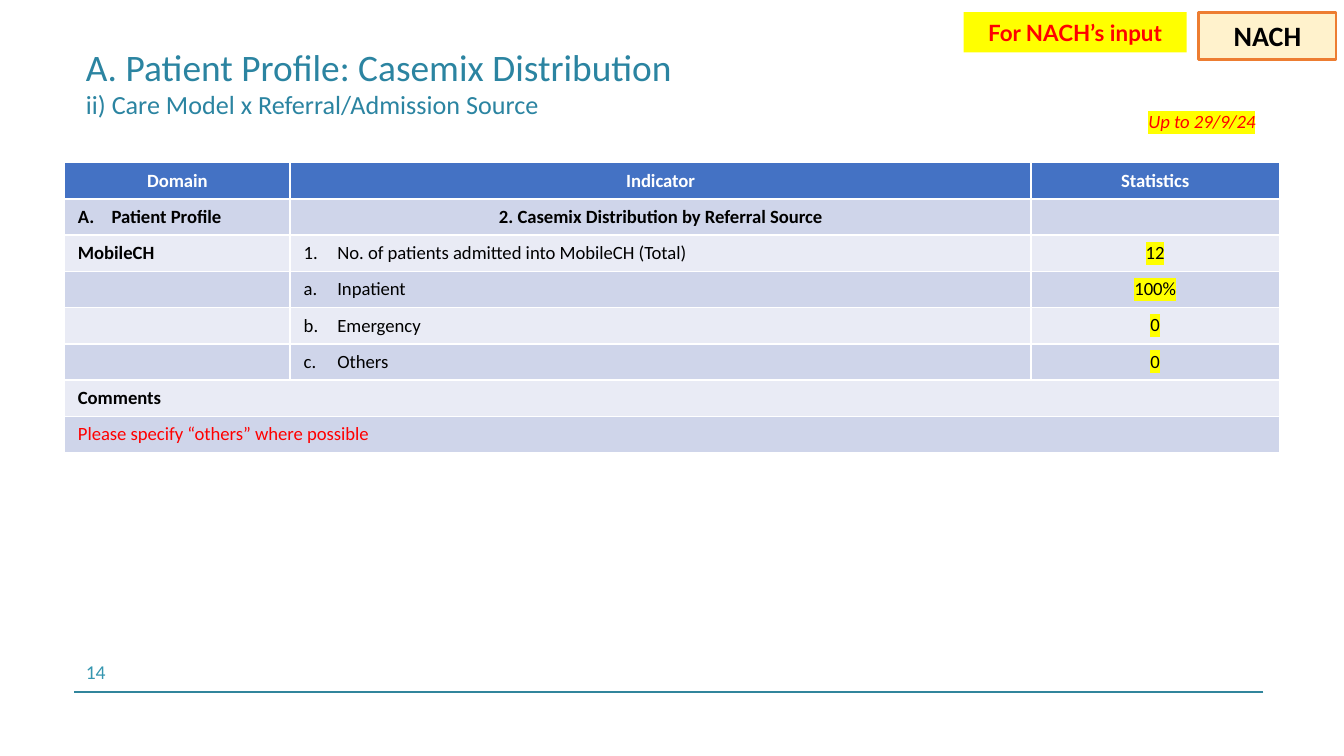
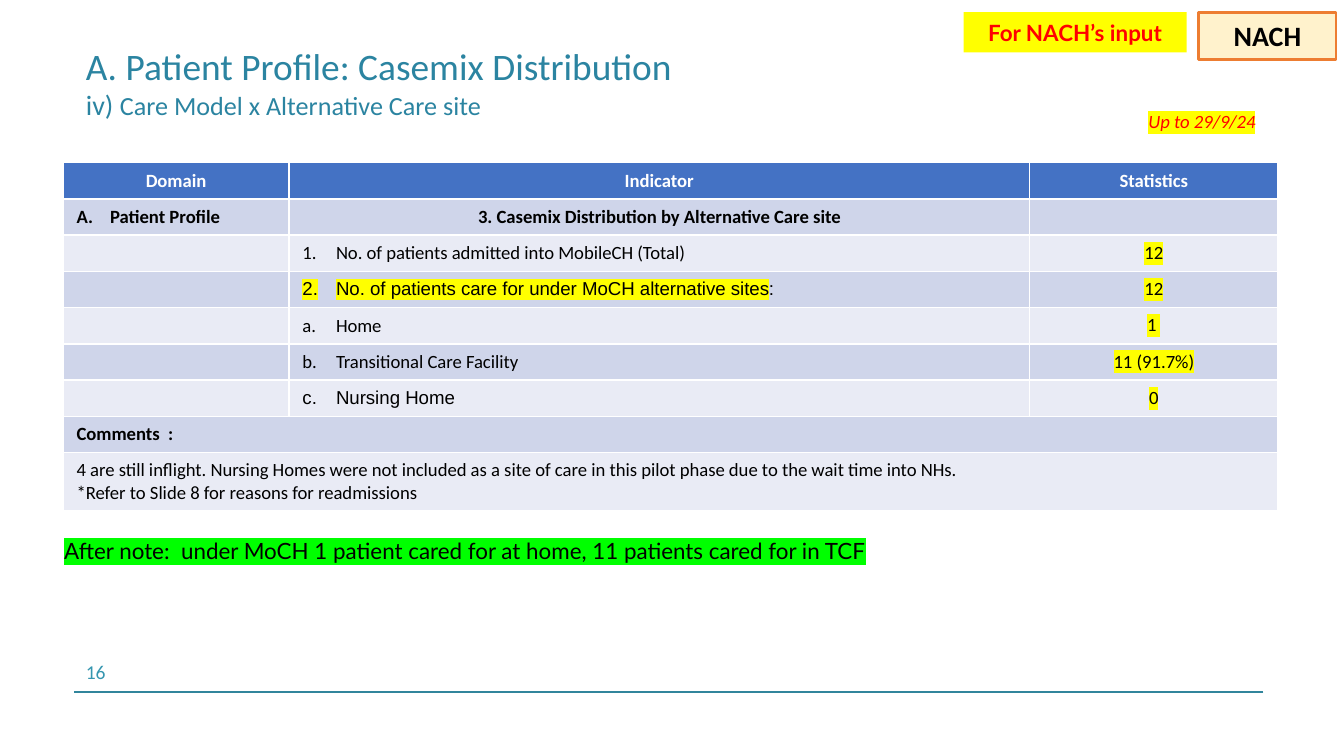
"""Builds two casemix tables for the patient profile section."""
from dataclasses import dataclass, replace

from lxml import etree
from pptx import Presentation
from pptx import util as u
from pptx.dml import color
from pptx.enum import shapes, text
from pptx.oxml import ns

LEFT, CENTER, RIGHT = text.PP_ALIGN.LEFT, text.PP_ALIGN.CENTER, text.PP_ALIGN.RIGHT
TOP, MIDDLE = text.MSO_ANCHOR.TOP, text.MSO_ANCHOR.MIDDLE
SITE = "NACH"


@dataclass(frozen=True)
class Look:
    size: float = 10
    colour: str = "000000"
    bold: bool = False
    italic: bool = False
    mark: str = ""
    font: str = "Calibri"


@dataclass(frozen=True)
class Entry:
    spans: tuple = ()
    align: int = LEFT
    marker: str = ""
    anchor: int = MIDDLE


class Theme:
    white, red, yellow, green = "FFFFFF", "FF0000", "FFFF00", "00FF00"
    header, bands = "4472C4", ("E9EBF5", "CFD5EA")
    rule, cream, orange = "31859C", "FFF2CC", "ED7D31"
    body = Look()
    strong = Look(bold=True)
    marked = Look(mark=yellow)
    arial = Look(font="Arial")
    request = Look(colour=red)
    heading = Look(colour=white, bold=True)
    title = Look(20, "2B84A1")
    subtitle = replace(title, size=14)
    number = Look(10.5, "3596B0")
    site = Look(15, bold=True)
    date = Look(10, red, italic=True, mark=yellow)
    prompt = Look(12, red, bold=True, font="Lato")
    note = Look(12, mark=green, font="Lato")


def entry(words="", look=Theme.body, align=LEFT, marker="", anchor=MIDDLE):
    return Entry(((words, look),) if words else (), align, marker, anchor)


def figure(words):
    return entry(words, Theme.marked, CENTER, anchor=TOP)


def item(marker, words, look=Theme.body):
    return entry(words, look, marker=marker)


class Deck:
    """Draws on the current page, measured on a grid of 100 columns by 56.25 rows."""

    columns, rows = 100, 56.25
    table_columns = (16.8, 55.1, 18.5)
    row_height = 2.7

    def __init__(self):
        self.deck = Presentation()
        self.deck.slide_width, self.deck.slide_height = u.Inches(10), u.Inches(5.625)
        self.page = None

    def x(self, count):
        return round(self.deck.slide_width * count / self.columns)

    def y(self, count):
        return round(self.deck.slide_height * count / self.rows)

    def place(self, left, top, width, height):
        return self.x(left), self.y(top), self.x(width), self.y(height)

    def paint(self, fill, colour):
        fill.solid()
        fill.fore_color.rgb = color.RGBColor.from_string(colour)

    def style(self, span, look):
        font = span.font
        font.size, font.name = u.Pt(look.size), look.font
        font.bold, font.italic = look.bold, look.italic
        self.paint(font.fill, look.colour)
        if look.mark:
            mark = etree.Element(ns.qn("a:highlight"))
            etree.SubElement(mark, ns.qn("a:srgbClr"), val=look.mark)
            span._r.get_or_add_rPr().find(ns.qn("a:solidFill")).addnext(mark)

    def number(self, para, marker):
        label = marker.rstrip(".")
        if label.isdigit():
            scheme, start = "arabicPeriod", int(label)
        else:
            scheme = "alphaUcPeriod" if label.isupper() else "alphaLcPeriod"
            start = ord(label.lower()) - ord("a") + 1
        props = para._p.get_or_add_pPr()
        props.set("marL", str(u.Inches(0.25)))
        props.set("indent", str(-u.Inches(0.25)))
        tint = etree.SubElement(props, ns.qn("a:buClr"))
        etree.SubElement(tint, ns.qn("a:srgbClr"), val=Theme.body.colour)
        etree.SubElement(props, ns.qn("a:buAutoNum"), type=scheme, startAt=str(start))

    def set_text(self, frame, *entries):
        for index, content in enumerate(entries):
            para = frame.add_paragraph() if index else frame.paragraphs[0]
            para.alignment = content.align
            if content.marker:
                self.number(para, content.marker)
            for order, (words, look) in enumerate(content.spans):
                if order:
                    span = para.add_run()
                    span.text = words
                else:
                    para.text = words
                    span = para.runs[0]
                self.style(span, look)
            if not content.spans:
                etree.SubElement(para._p, ns.qn("a:endParaRPr"), sz=str(Theme.body.size * 100))

    def label(self, area, content, inset=(0.1, 0.05)):
        box = self.page.shapes.add_textbox(*self.place(*area))
        frame = box.text_frame
        frame.word_wrap, frame.vertical_anchor = True, content.anchor
        frame.margin_left = frame.margin_right = u.Inches(inset[0])
        frame.margin_top = frame.margin_bottom = u.Inches(inset[1])
        self.set_text(frame, content)

    def tag(self, area, content, fill, line=None):
        box = self.page.shapes.add_shape(shapes.MSO_SHAPE.RECTANGLE, *self.place(*area))
        box.shadow.inherit = False
        self.paint(box.fill, fill)
        if line:
            self.paint(box.line.fill, line)
            box.line.width = u.Pt(1.5)
        else:
            box.line.fill.background()
        box.text_frame.word_wrap, box.text_frame.vertical_anchor = True, TOP
        self.set_text(box.text_frame, content)

    def rule(self, left, right, top):
        line = self.page.shapes.add_connector(
            shapes.MSO_CONNECTOR.STRAIGHT, self.x(right), self.y(top), self.x(left), self.y(top))
        self.paint(line.line.fill, Theme.rule)
        line.line.width = u.Pt(1)
        etree.SubElement(line._element.spPr, ns.qn("a:effectLst"))

    def table(self, left, section, items, comments):
        head = [entry(words, Theme.heading, CENTER) for words in ("Domain", "Indicator", "Statistics")]
        topic = [entry("Patient Profile", Theme.strong, marker="A."),
                 entry(section, Theme.strong, CENTER), entry()]
        lines = [head, topic, *items]
        total = len(lines) + len(comments)
        area = self.place(left, 12.1, sum(self.table_columns), total * self.row_height)
        grid = self.page.shapes.add_table(total, len(self.table_columns), *area).table
        for column, width in zip(grid.columns, self.table_columns):
            column.width = self.x(width)
        for row, line in enumerate(grid.rows):
            line.height = self.y(self.row_height)
            for cell in line.cells:
                self.paint(cell.fill, Theme.bands[row % 2] if row else Theme.header)
        for row, line in enumerate(lines):
            for column, content in enumerate(line):
                cell = grid.cell(row, column)
                cell.vertical_anchor = content.anchor
                self.set_text(cell.text_frame, content)
        for row, paras in enumerate(comments, len(lines)):
            cell = grid.cell(row, 0)
            cell.merge(grid.cell(row, len(self.table_columns) - 1))
            cell.vertical_anchor = MIDDLE
            self.set_text(cell.text_frame, *paras)
            grid.rows[row].height = self.y(self.row_height + 1.63 * (len(paras) - 1))

    def start(self, number, *subtitle):
        self.page = self.deck.slides.add_slide(self.deck.slide_layouts[6])
        self.label((5.4, 48.6, 11.9, 2.8), entry(number, Theme.number, anchor=TOP))
        self.rule(5.5, 94, 51.5)
        title = ("A. Patient Profile: Casemix Distribution\v", Theme.title)
        self.label((5.6, 2, 67, 8.2), Entry((title, *subtitle)), (0.08, 0.04))
        self.tag((89.2, 0.9, 10.2, 3.5), entry(SITE, Theme.site, CENTER), Theme.cream, Theme.orange)
        self.tag((80, 7.7, 14.4, 2.7), entry("Up to 29/9/24", Theme.date, RIGHT), Theme.white)
        self.tag((71.7, 0.9, 16.6, 3), entry(f"For {SITE}’s input", Theme.prompt, CENTER), Theme.yellow)


def referral_page(deck):
    deck.start("14", ("ii) Care Model x Referral/Admission Source", Theme.subtitle))
    deck.table(4.8, "2. Casemix Distribution by Referral Source", [
        [entry("MobileCH", Theme.strong),
         item("1.", "No. of patients admitted into MobileCH (Total)"), figure("12")],
        [entry(), item("a.", "Inpatient"), figure("100%")],
        [entry(), item("b.", "Emergency"), figure("0")],
        [entry(), item("c.", "Others"), figure("0")],
    ], [
        [entry("Comments", Theme.strong)],
        [entry("Please specify “others” where possible", Theme.request)],
    ])


def care_site_page(deck):
    deck.start("16", ("iv) ", replace(Theme.subtitle, size=15)),
               ("Care Model x Alternative Care site", Theme.subtitle))
    sites = Entry((("No. of patients care for under MoCH alternative sites",
                    replace(Theme.arial, mark=Theme.yellow)), (":", Theme.arial)), marker="2.")
    deck.table(4.7, "3. Casemix Distribution by Alternative Care site", [
        [entry(), item("1.", "No. of patients admitted into MobileCH (Total)"), figure("12")],
        [entry(), sites, figure("12")],
        [entry(), item("a.", "Home"), figure("1 ")],
        [entry(), item("b.", "Transitional Care Facility"), figure("11 (91.7%)")],
        [entry(), item("c.", "Nursing Home", Theme.arial), figure("0")],
    ], [
        [entry("Comments  :", Theme.strong)],
        [entry("4 are still inflight. Nursing Homes were not included as a site of care "
               "in this pilot phase due to the wait time into NHs."),
         entry("*Refer to Slide 8 for reasons for readmissions")],
    ])
    deck.label((3.8, 39.5, 88.7, 3), entry(
        "After note:  under MoCH 1 patient cared for at home, 11 patients cared for in TCF",
        Theme.note, anchor=TOP))


def main():
    deck = Deck()
    referral_page(deck)
    care_site_page(deck)
    deck.deck.save("out.pptx")


if __name__ == "__main__":
    main()
